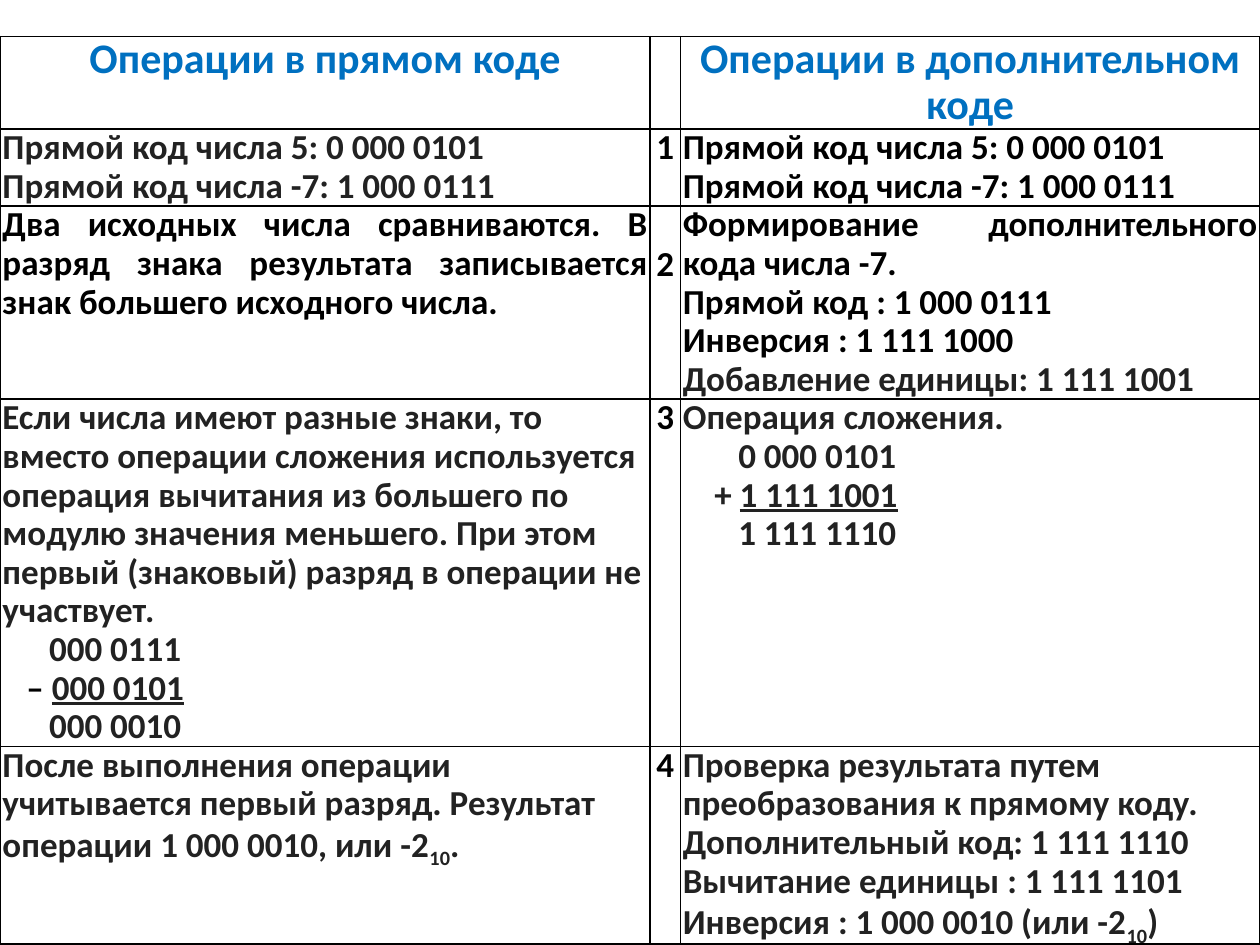
"""Build a slide comparing arithmetic in sign-magnitude and two's complement code."""
from dataclasses import dataclass

from lxml import etree
from pptx import Presentation, util as u
from pptx.dml.color import RGBColor
from pptx.enum import text
from pptx.oxml import ns

BLUE, DARK, BLACK = "0070C0", "222222", "000000"
LEFT, CENTER, JUSTIFY = text.PP_ALIGN.LEFT, text.PP_ALIGN.CENTER, text.PP_ALIGN.JUSTIFY
COLUMN_WIDTHS = (5.16, 0.24, 4.6)
ROW_HEIGHTS = (0.24, 0.49, 1.21, 2.39, 1.44)
LINE_HEIGHT = 0.31


@dataclass(frozen=True)
class Span:
    """A stretch of text with its own format."""
    words: str
    color: str = DARK
    size: int = 20
    underline: bool = False
    baseline: int = 0


@dataclass(frozen=True)
class Line:
    """A paragraph of a cell."""
    spans: tuple[Span, ...]
    align: text.PP_ALIGN = LEFT
    indent: float = 0


@dataclass(frozen=True)
class Entry:
    """The content of one cell."""
    lines: tuple[Line, ...] = ()
    top: float = 0


def rgb(value: str) -> RGBColor:
    """Turn a hex string into a colour."""
    return RGBColor.from_string(value)


def line(words: str, align: text.PP_ALIGN = LEFT, indent: float = 0, **style) -> Line:
    """Make a paragraph with one format."""
    return Line((Span(words, **style),), align, indent)


def heading(words: str) -> Entry:
    """Make a column heading."""
    return Entry((line(words, CENTER, color=BLUE, size=24),))


def step(number: int, top: float = 0) -> Entry:
    """Make a step number."""
    return Entry((line(str(number), CENTER, color=BLACK),), top)


def codes(align: text.PP_ALIGN, color: str) -> Entry:
    """Make the cell with the codes of both numbers."""
    return Entry(tuple(line(words, align, color=color) for words in (
        "Прямой код числа 5: 0 000 0101", "Прямой код числа -7: 1 000 0111")))


def sum_lines(first: str, sign: Span, second: str, result: str,
              indent: float, sign_indent: float) -> tuple[Line, ...]:
    """Lay out a column calculation."""
    return (line(first, indent=indent),
            Line((sign, Span(second, underline=True)), indent=sign_indent),
            line(result, indent=indent))


def with_base(before: str, after: str) -> Entry:
    """Make a text whose number carries the base 10 as a subscript."""
    return Entry((Line((Span(before), Span("10", baseline=-25), Span(after))),))


ROWS = (
    (heading("Операции в прямом коде"), Entry(), heading("Операции в дополнительном коде")),
    (codes(LEFT, DARK), step(1), codes(JUSTIFY, BLACK)),
    (Entry((line("Два исходных числа сравниваются. В разряд знака результата записывается "
                 "знак большего исходного числа.", JUSTIFY, color=BLACK),)),
     step(2, LINE_HEIGHT),
     Entry((line("Формирование дополнительного кода числа -7.", JUSTIFY, color=BLACK),
            line("Прямой код : 1 000 0111", JUSTIFY, color=BLACK),
            line("Инверсия : 1 111 1000", JUSTIFY, color=BLACK),
            line("Добавление единицы: 1 111 1001", JUSTIFY)))),
    (Entry((line("Если числа имеют разные знаки, то вместо операции сложения используется "
                 "операция вычитания из большего по модулю значения меньшего. При этом "
                 "первый (знаковый) разряд в операции не участвует."),
            *sum_lines("000 0111", Span("– ", BLACK), "000 0101", "000 0010", 0.37, 0.19))),
     step(3),
     Entry((line("Операция сложения."),
            *sum_lines("0 000 0101", Span("+ "), "1 111 1001", "1 111 1110", 0.44, 0.25)))),
    (with_base("После выполнения операции учитывается первый разряд. "
               "Результат операции 1 000 0010, или -2", "."),
     step(4),
     with_base("Проверка результата путем преобразования к прямому коду.\n"
               "Дополнительный код: 1 111 1110\nВычитание единицы : 1 111 1101\n"
               "Инверсия : 1 000 0010 (или -2", ")")),
)


def add_text(paragraph, words: str, *, color: str, size: int,
             underline: bool, baseline: int) -> None:
    """Add formatted text, breaking lines at newlines."""
    for index, part in enumerate(words.split("\n")):
        if index:
            paragraph.add_line_break()
        run = paragraph.add_run()
        run.text = part
        run.font.name, run.font.size, run.font.bold = "Calibri", u.Pt(size), True
        run.font.color.rgb = rgb(color)
        if underline:
            run.font.underline = True
        if baseline:
            run.font._element.set("baseline", str(baseline * 1000))


def add_borders(cell) -> None:
    """Draw a thin black line on each side of a cell."""
    properties = cell._tc.get_or_add_tcPr()
    for index, side in enumerate(("lnL", "lnR", "lnT", "lnB")):
        border = etree.Element(ns.qn(f"a:{side}"), w=str(u.Pt(1)))
        fill = etree.SubElement(border, ns.qn("a:solidFill"))
        etree.SubElement(fill, ns.qn("a:srgbClr"), val=BLACK)
        properties.insert(index, border)


def fill_cell(cell, entry: Entry) -> None:
    """Write an entry into a cell."""
    cell.fill.background()
    add_borders(cell)
    cell.margin_left = cell.margin_right = u.Inches(0.02)
    cell.margin_top, cell.margin_bottom = u.Inches(entry.top), 0
    frame = cell.text_frame
    for index, item in enumerate(entry.lines):
        paragraph = frame.add_paragraph() if index else frame.paragraphs[0]
        paragraph.alignment, paragraph.line_spacing = item.align, 0.9
        if item.indent:
            paragraph._p.get_or_add_pPr().set("marL", str(u.Inches(item.indent)))
        for span in item.spans:
            add_text(paragraph, span.words, color=span.color, size=span.size,
                     underline=span.underline, baseline=span.baseline)


def main() -> None:
    """Build and save the slide."""
    deck = Presentation()
    deck.slide_width, deck.slide_height = u.Inches(10), u.Inches(7.5)
    slide = deck.slides.add_slide(deck.slide_layouts[6])
    comparison = slide.shapes.add_table(
        len(ROW_HEIGHTS), len(COLUMN_WIDTHS), 0, u.Inches(0.29),
        u.Inches(10), u.Inches(7.02)).table
    comparison.first_row = comparison.horz_banding = False
    for column, width in zip(comparison.columns, COLUMN_WIDTHS):
        column.width = u.Inches(width)
    for row, height, entries in zip(comparison.rows, ROW_HEIGHTS, ROWS):
        row.height = u.Inches(height)
        for cell, entry in zip(row.cells, entries):
            fill_cell(cell, entry)
    deck.save("out.pptx")


if __name__ == "__main__":
    main()
